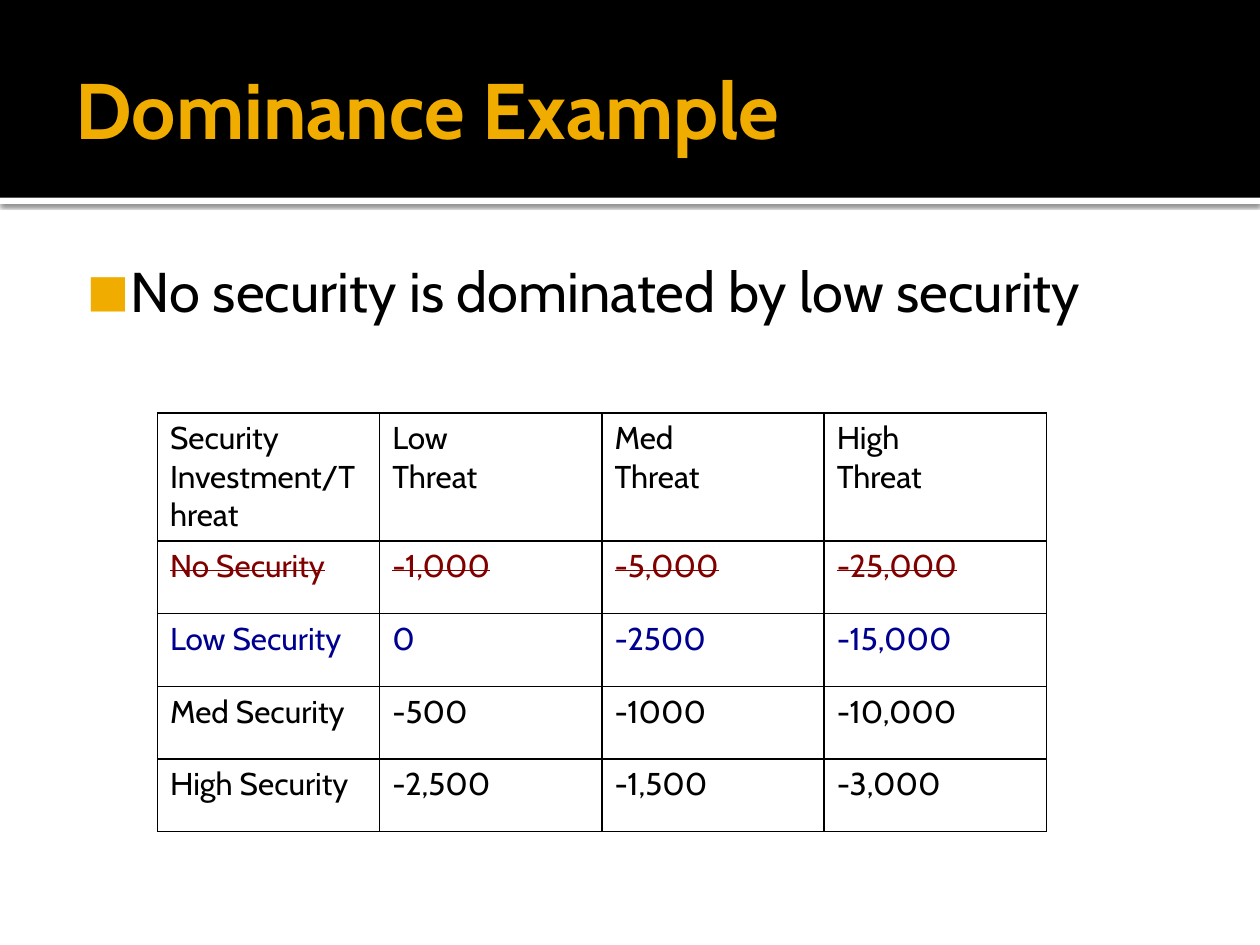
import dataclasses

import lxml.etree
import pptx
import pptx.dml.color
import pptx.enum.shapes
import pptx.enum.text
import pptx.oxml.ns
import pptx.util

Pt = pptx.util.Pt
qn = pptx.oxml.ns.qn


@dataclasses.dataclass(frozen=True)
class Theme:
    font: str = "Cabin"
    black: str = "000000"
    white: str = "FFFFFF"
    gold: str = "F0AD00"
    dominated: str = "800000"
    dominating: str = "000090"
    title_size: float = 45
    body_size: float = 32
    table_size: float = 18


THEME = Theme()

PAYOFFS = [
    ["Security Investment/Threat", "Low\nThreat", "Med\nThreat", "High\nThreat"],
    ["No Security", "-1,000", "-5,000", "-25,000"],
    ["Low Security", "0", "-2500", "-15,000"],
    ["Med Security", "-500", "-1000", "-10,000"],
    ["High Security", "-2,500", "-1,500", "-3,000"],
]
ROW_FORMATS = {
    1: {"color": THEME.dominated, "strike": True},
    2: {"color": THEME.dominating},
}


def rgb(value):
    return pptx.dml.color.RGBColor.from_string(value)


def add_xml(parent, tag, **attributes):
    return lxml.etree.SubElement(parent, qn(tag), attributes)


def add_bullet(paragraph, left, hanging):
    properties = paragraph._p.get_or_add_pPr()
    properties.set("marL", str(Pt(left)))
    properties.set("indent", str(-Pt(hanging)))
    bullet_color = add_xml(properties, "a:buClr")
    add_xml(bullet_color, "a:srgbClr", val=THEME.gold)
    add_xml(properties, "a:buSzPct", val="80000")
    add_xml(properties, "a:buFont", typeface=THEME.font)
    add_xml(properties, "a:buChar", char="■")


def write_text(frame, text, *, size, color=THEME.black, bold=False, strike=False, bullet=None):
    for index, line in enumerate(text.split("\n")):
        paragraph = frame.paragraphs[0] if index == 0 else frame.add_paragraph()
        if bullet:
            add_bullet(paragraph, *bullet)
        paragraph.alignment = pptx.enum.text.PP_ALIGN.LEFT
        run = paragraph.add_run()
        run.text = line
        run.font.name = THEME.font
        run.font.size = Pt(size)
        run.font.bold = bold
        run.font.color.rgb = rgb(color)
        if strike:
            run._r.get_or_add_rPr().set("strike", "sngStrike")


def set_frame(frame, anchor, left, top, right, bottom):
    frame.word_wrap = True
    frame.auto_size = pptx.enum.text.MSO_AUTO_SIZE.NONE
    frame.vertical_anchor = anchor
    frame.margin_left, frame.margin_top = Pt(left), Pt(top)
    frame.margin_right, frame.margin_bottom = Pt(right), Pt(bottom)


def add_band(slide, top, height, color):
    band = slide.shapes.add_shape(
        pptx.enum.shapes.MSO_SHAPE.RECTANGLE, 0, Pt(top), Pt(720), Pt(height))
    band.shadow.inherit = False
    band.fill.solid()
    band.fill.fore_color.rgb = rgb(color)
    band.line.fill.background()
    return band


def add_shadow(band, blur, distance, opacity):
    effects = band._element.spPr.find(qn("a:effectLst"))
    shadow = add_xml(effects, "a:outerShdw", blurRad=str(Pt(blur)), dist=str(Pt(distance)),
                     dir="5400000", algn="t", rotWithShape="0")
    shadow_color = add_xml(shadow, "a:srgbClr", val=THEME.black)
    add_xml(shadow_color, "a:alpha", val=str(opacity * 1000))


def add_title(slide, text):
    title = slide.shapes.title
    slide.shapes.element.append(title.element)
    title.left, title.top, title.width, title.height = Pt(36), Pt(12), Pt(648), Pt(99)
    set_frame(title.text_frame, pptx.enum.text.MSO_ANCHOR.MIDDLE, 7.2, 3.6, 3.6, 3.6)
    write_text(title.text_frame, text, size=THEME.title_size, color=THEME.gold, bold=True)


def add_statement(slide, text):
    statement = slide.shapes.add_textbox(Pt(36), Pt(139.5), Pt(648), Pt(364.5))
    set_frame(statement.text_frame, pptx.enum.text.MSO_ANCHOR.TOP, 4.3, 7.2, 7.2, 3.6)
    write_text(statement.text_frame, text, size=THEME.body_size, bullet=(34.5, 25.2))


def add_borders(cell):
    properties = cell._tc.get_or_add_tcPr()
    for position, side in enumerate(("a:lnL", "a:lnR", "a:lnT", "a:lnB")):
        border = lxml.etree.Element(qn(side), {"w": str(Pt(1))})
        add_xml(add_xml(border, "a:solidFill"), "a:srgbClr", val=THEME.black)
        properties.insert(position, border)


def add_payoff_table(slide):
    frame = slide.shapes.add_table(
        len(PAYOFFS), len(PAYOFFS[0]), Pt(90), Pt(236), Pt(508), Pt(238.5))
    payoffs = frame.table
    payoffs.first_row = False
    payoffs.horz_banding = False
    for row in payoffs.rows:
        row.height = Pt(41.5)
    for row_index, values in enumerate(PAYOFFS):
        for column_index, value in enumerate(values):
            cell = payoffs.cell(row_index, column_index)
            cell.fill.background()
            add_borders(cell)
            write_text(cell.text_frame, value, size=THEME.table_size,
                       **ROW_FORMATS.get(row_index, {}))


def main():
    deck = pptx.Presentation()
    deck.slide_width, deck.slide_height = Pt(720), Pt(540)
    slide = deck.slides.add_slide(deck.slide_layouts.get_by_name("Title Only"))
    slide.background.fill.solid()
    slide.background.fill.fore_color.rgb = rgb(THEME.white)
    header_edge = add_band(slide, 113, 3.6, THEME.white)
    add_shadow(header_edge, blur=2.5, distance=0.8, opacity=60)
    add_band(slide, 0, 113, THEME.black)
    add_title(slide, "Dominance Example")
    add_statement(slide, "No security is dominated by low security")
    add_payoff_table(slide)
    deck.save("out.pptx")


if __name__ == "__main__":
    main()
